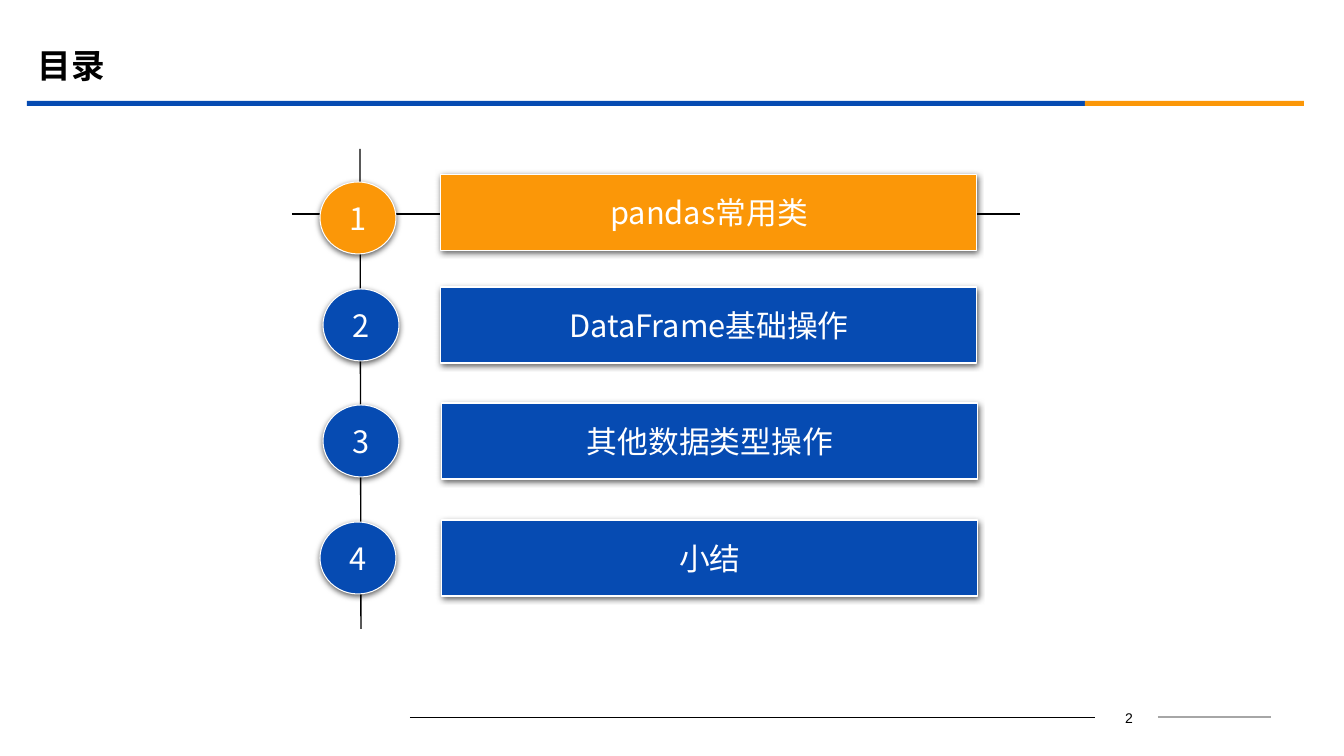
from lxml.etree import SubElement
from pptx import Presentation
from pptx.dml.color import RGBColor
from pptx.enum.shapes import MSO_CONNECTOR, MSO_SHAPE
from pptx.enum.text import MSO_ANCHOR, PP_ALIGN
from pptx.oxml.ns import qn
from pptx.util import Pt

SCALE = 914400 / 100.8
BLUE, ORANGE, WHITE, BLACK, GREY = "064BB2", "FB9708", "FFFFFF", "000000", "A6A6A6"
CJK = "Noto Sans CJK SC"
TOPICS = [
    ("pandas常用类", ORANGE, (28, 33), (149, 25)),
    ("DataFrame基础操作", BLUE, (31, 140), (149, 138)),
    ("其他数据类型操作", BLUE, (31, 256), (150, 254)),
    ("小结", BLUE, (28, 373), (150, 371)),
]


def px(length):
    return round(length * SCALE)


def color(value):
    return RGBColor.from_string(value)


def write(shape, text, size=22, font=CJK, fill=WHITE, bold=False,
          align=PP_ALIGN.CENTER, wrap=False, spacing=1.0):
    frame = shape.text_frame
    frame.word_wrap = wrap
    frame.vertical_anchor = MSO_ANCHOR.MIDDLE
    para = frame.paragraphs[0]
    para.alignment = align
    para.line_spacing = spacing
    span = para.add_run()
    span.text = text
    span.font.size = Pt(size)
    span.font.name = font
    span.font.bold = bold
    span.font.color.rgb = color(fill)
    SubElement(span._r.get_or_add_rPr(), qn("a:ea"), typeface=font)


def add_text(page, left, top, width, height, text, **style):
    box = page.shapes.add_textbox(px(left), px(top), px(width), px(height))
    write(box, text, **style)


def add_line(page, start, end, fill, weight):
    line = page.shapes.add_connector(
        MSO_CONNECTOR.STRAIGHT, *map(px, start), *map(px, end))
    line.line.color.rgb = color(fill)
    line.line.width = Pt(weight)
    SubElement(line._element.spPr, qn("a:effectLst"))


def add_block(page, kind, left, top, width, height, fill):
    shape = page.shapes.add_shape(kind, px(left), px(top), px(width), px(height))
    shape.shadow.inherit = False
    shape.fill.solid()
    shape.fill.fore_color.rgb = color(fill)
    shape.line.fill.background()
    return shape


def add_button(page, kind, left, top, width, height, fill, text):
    button = add_block(page, kind, left, top, width, height, fill)
    button.line.color.rgb = color(WHITE)
    button.line.width = Pt(0.75)
    effects = button._element.spPr.find(qn("a:effectLst"))
    shadow = SubElement(effects, qn("a:outerShdw"), blurRad=str(Pt(4.5)),
                        dist=str(Pt(1.5)), dir="5400000", rotWithShape="0")
    shade = SubElement(shadow, qn("a:srgbClr"), val=BLACK)
    SubElement(shade, qn("a:alpha"), val="63000")
    write(button, text)


def header(page, left, top, width, title):
    blue_width = 1058
    add_block(page, MSO_SHAPE.RECTANGLE, left, top + 62, blue_width, 5, BLUE)
    add_block(page, MSO_SHAPE.RECTANGLE, left + blue_width, top + 62,
              width - blue_width, 5, ORANGE)
    add_text(page, left + 1, top, 1210, 58, title, size=24, fill=BLACK,
             bold=True, align=PP_ALIGN.LEFT, wrap=True, spacing=0.9)


def contents(page, left, top, width, height):
    add_line(page, (left + 68, top), (left + 69, top + height), BLACK, 1)
    add_line(page, (left, top + 65), (left + width, top + 65), BLACK, 1)
    for number, (topic, fill, disc, bar) in enumerate(TOPICS, 1):
        add_button(page, MSO_SHAPE.ACTION_BUTTON_CUSTOM, left + bar[0],
                   top + bar[1], 536, 76, fill, topic)
        add_button(page, MSO_SHAPE.OVAL, left + disc[0], top + disc[1],
                   76, 72, fill, str(number))


def footer(page, left, top, width, height, number):
    middle = top + height // 2
    add_line(page, (left, middle), (left + 685, middle), BLACK, 0.5)
    add_line(page, (left + 748, middle), (left + width, middle), GREY, 0.75)
    add_text(page, left + 688, top, 62, height, number, size=10,
             font="Arial", fill=BLACK, wrap=True)


deck = Presentation()
deck.slide_width, deck.slide_height = px(1344), px(756)
page = deck.slides.add_slide(deck.slide_layouts[6])
header(page, 27, 39, 1277, "目录")
contents(page, 292, 149, 728, 480)
footer(page, 410, 705, 861, 25, "2")
deck.save("out.pptx")
